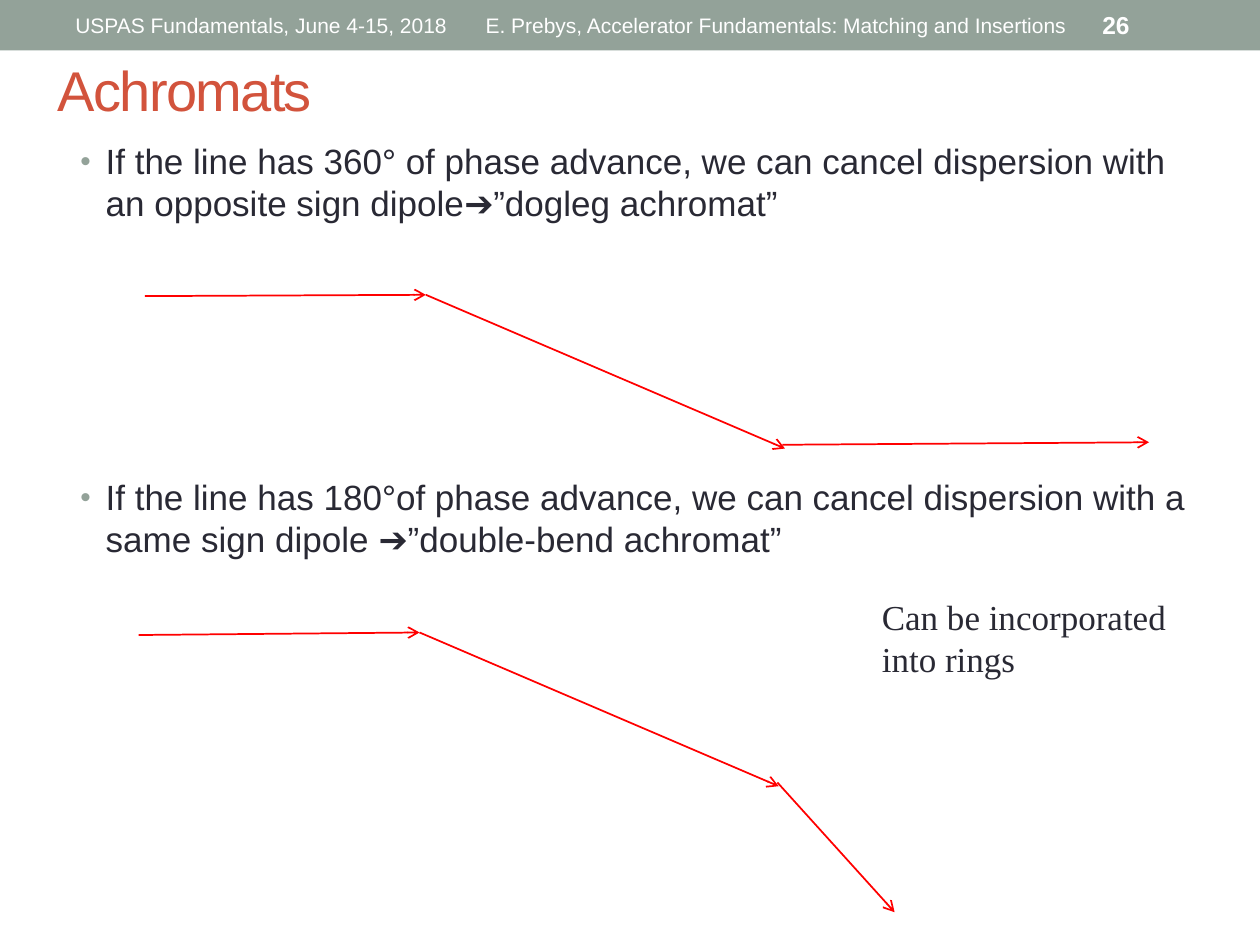
from typing import NamedTuple

import pptx
import pptx.dml.color
import pptx.enum.shapes
import pptx.enum.text
import pptx.oxml.ns
import pptx.util
from lxml import etree

Inches = pptx.util.Inches
Pt = pptx.util.Pt
ALIGN = pptx.enum.text.PP_ALIGN
ANCHOR = pptx.enum.text.MSO_ANCHOR
qn = pptx.oxml.ns.qn

SAGE, RUST, INK, WHITE, RED = "93A299", "D2533C", "292934", "FFFFFF", "FF0000"


class Label(NamedTuple):
    text: str
    left: float
    top: float
    width: float
    height: float
    size: float
    color: str = WHITE
    font: str = "Arial"
    bold: bool = False
    align: ALIGN = ALIGN.LEFT
    anchor: ANCHOR = ANCHOR.MIDDLE


class Beam(NamedTuple):
    x1: float
    y1: float
    x2: float
    y2: float


class Bullet(NamedTuple):
    text: str
    space_before: float


LABELS = [
    Label("USPAS Fundamentals, June 4-15, 2018", 0.5, 0.02, 3.17, 0.36, 12),
    Label("E. Prebys, Accelerator Fundamentals: Matching and Insertions",
          3.75, 0.02, 4.82, 0.36, 12, align=ALIGN.CENTER),
    Label("26", 8.65, 0.02, 0.85, 0.36, 14, bold=True),
    Label("Can be incorporated into rings", 6.9, 4.68, 2.51, 0.77, 20, INK,
          "Times New Roman", anchor=ANCHOR.TOP),
]

BULLETS = [
    Bullet("If the line has 360° of phase advance, we can cancel dispersion with "
           "an opposite sign dipole➔”dogleg achromat”", 0),
    Bullet("If the line has 180°of phase advance, we can cancel dispersion with a "
           "same sign dipole ➔”double-bend achromat”", 144),
]

DOGLEG = [
    Beam(1.15, 2.35, 3.38, 2.34),
    Beam(3.38, 2.34, 6.23, 3.56),
    Beam(6.21, 3.53, 9.12, 3.51),
]
DOUBLE_BEND = [
    Beam(1.1, 5.04, 3.33, 5.02),
    Beam(3.33, 5.02, 6.18, 6.24),
    Beam(6.17, 6.21, 7.1, 7.24),
]


def rgb(color: str) -> pptx.dml.color.RGBColor:
    return pptx.dml.color.RGBColor.from_string(color)


def add_run(p, text: str, size: float, color: str, font: str = "Arial", bold: bool = False):
    r = p.add_run()
    r.text = text
    r.font.size = Pt(size)
    r.font.name = font
    r.font.bold = bold
    r.font.color.rgb = rgb(color)
    return r


def add_header_bar(s) -> None:
    sp = s.shapes.add_shape(pptx.enum.shapes.MSO_SHAPE.RECTANGLE,
                            0, 0, Inches(10), Inches(0.4))
    sp.shadow.inherit = False
    sp.fill.solid()
    sp.fill.fore_color.rgb = rgb(SAGE)
    sp.line.fill.background()


def set_title(s, text: str) -> None:
    sp = s.shapes.title
    sp.left, sp.top, sp.width, sp.height = map(Inches, (0.36, 0.38, 8.62, 0.66))
    tf = sp.text_frame
    tf.vertical_anchor = ANCHOR.MIDDLE
    p = tf.paragraphs[0]
    p.alignment = ALIGN.LEFT
    r = add_run(p, text, 32, RUST)
    r.font._element.set("spc", "-100")


def add_label(s, label: Label) -> None:
    sp = s.shapes.add_textbox(Inches(label.left), Inches(label.top),
                              Inches(label.width), Inches(label.height))
    tf = sp.text_frame
    tf.word_wrap = True
    tf.vertical_anchor = label.anchor
    p = tf.paragraphs[0]
    p.alignment = label.align
    add_run(p, label.text, label.size, label.color, label.font, label.bold)


def add_bullets(s, bullets: list[Bullet]) -> None:
    sp = s.shapes.add_textbox(Inches(0.54), Inches(1.03), Inches(9.02), Inches(4.12))
    tf = sp.text_frame
    tf.word_wrap = True
    tf.margin_top = Inches(0.08)
    for i, bullet in enumerate(bullets):
        p = tf.add_paragraph() if i else tf.paragraphs[0]
        p.space_before = Pt(bullet.space_before)
        pPr = p._p.get_or_add_pPr()
        pPr.set("marL", str(Inches(0.2)))
        pPr.set("indent", str(Inches(-0.2)))
        buClr = etree.SubElement(pPr, qn("a:buClr"))
        etree.SubElement(buClr, qn("a:srgbClr"), val=SAGE)
        etree.SubElement(pPr, qn("a:buSzPct"), val="85000")
        etree.SubElement(pPr, qn("a:buFont"), typeface="Arial")
        etree.SubElement(pPr, qn("a:buChar"), char="•")
        add_run(p, bullet.text, 20, INK)


def add_beam(s, beam: Beam) -> None:
    cxn = s.shapes.add_connector(pptx.enum.shapes.MSO_CONNECTOR.STRAIGHT,
                                 *map(Inches, beam))
    cxn.line.color.rgb = rgb(RED)
    cxn.line.width = Pt(1)
    etree.SubElement(cxn.line._get_or_add_ln(), qn("a:tailEnd"), type="arrow")
    etree.SubElement(cxn._element.spPr, qn("a:effectLst"))


def main() -> None:
    prs = pptx.Presentation()
    prs.slide_width, prs.slide_height = Inches(10), Inches(7.5)
    s = prs.slides.add_slide(prs.slide_layouts[5])
    add_header_bar(s)
    set_title(s, "Achromats")
    add_bullets(s, BULLETS)
    for beam in DOGLEG + DOUBLE_BEND:
        add_beam(s, beam)
    for label in LABELS:
        add_label(s, label)
    prs.save("out.pptx")


if __name__ == "__main__":
    main()
